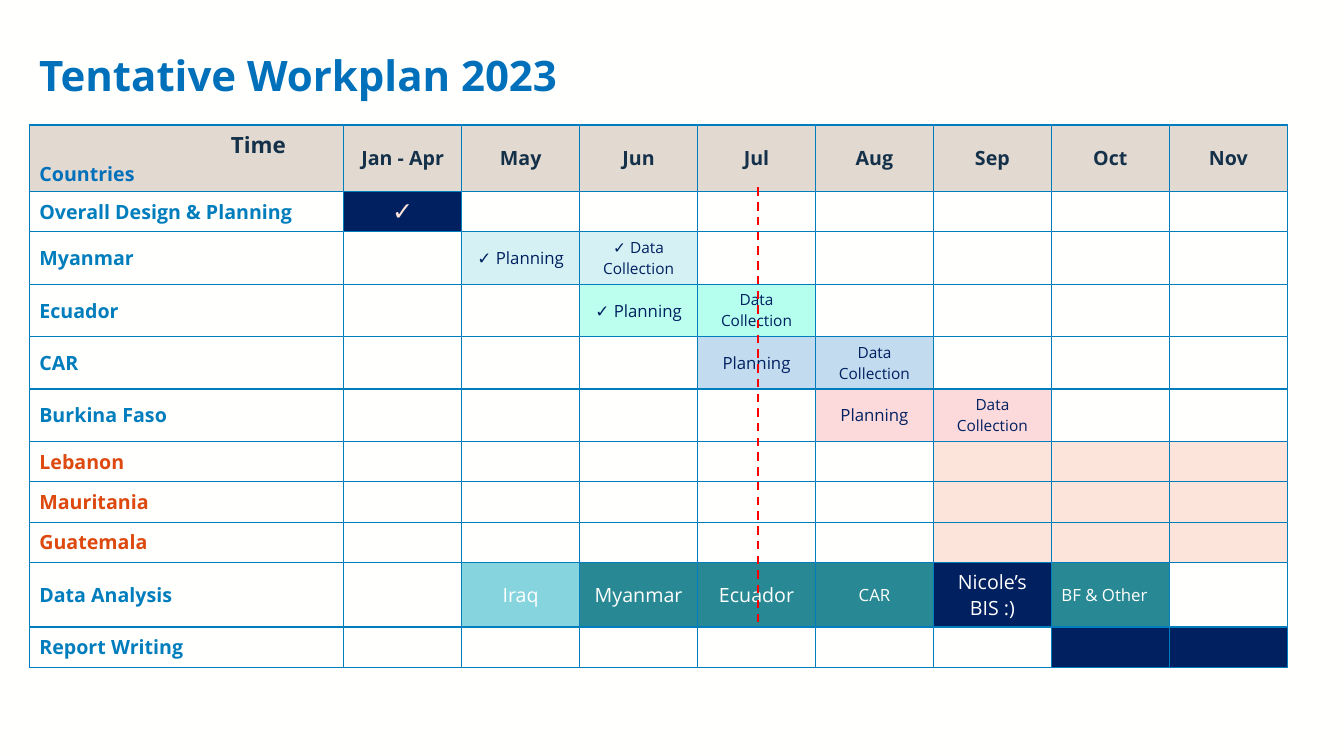
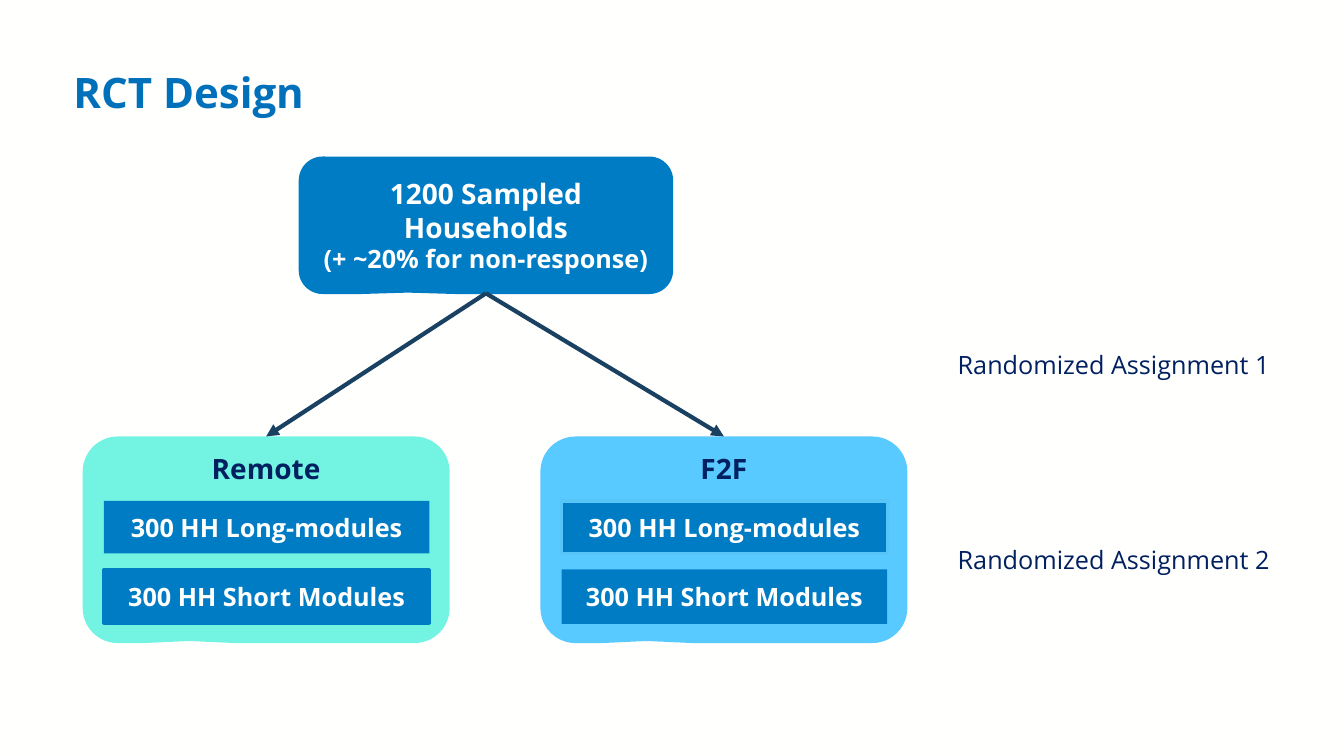
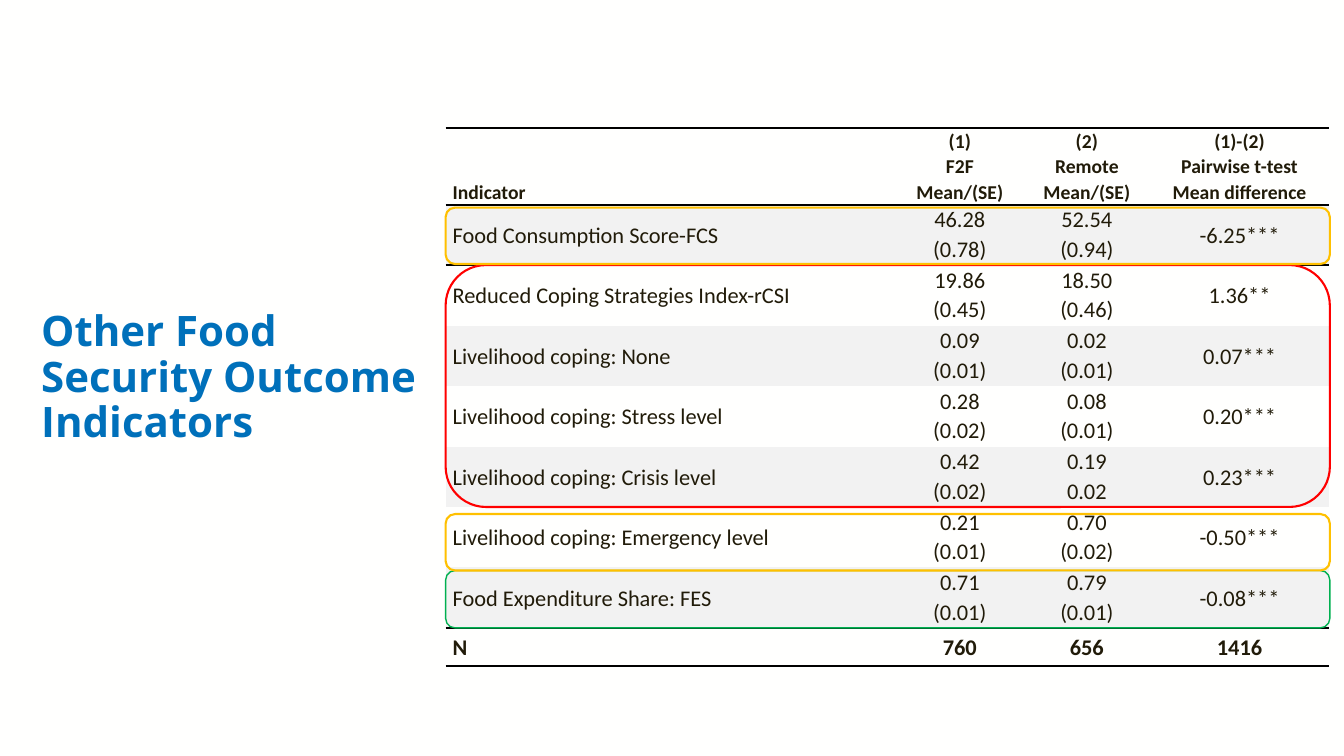
import pptx
import pptx.dml.color
import pptx.enum.dml
import pptx.enum.shapes
import pptx.enum.text
import pptx.oxml.ns
import pptx.util
from lxml import etree

Inches = pptx.util.Inches
Pt = pptx.util.Pt
RGBColor = pptx.dml.color.RGBColor
Shape = pptx.enum.shapes.MSO_SHAPE
Align = pptx.enum.text.PP_ALIGN
Anchor = pptx.enum.text.MSO_ANCHOR
qn = pptx.oxml.ns.qn

PAPER = RGBColor(0xFF, 0xFF, 0xFE)
BLACK = RGBColor(0x00, 0x00, 0x00)
TITLE_BLUE = RGBColor(0x00, 0x70, 0xBA)
GRID_BLUE = RGBColor(0x00, 0x7D, 0xBC)
BOX_BLUE = RGBColor(0x00, 0x7C, 0xC5)
SKY = RGBColor(0x59, 0xCA, 0xFF)
SKY_EDGE = RGBColor(0x57, 0xC5, 0xF7)
MINT = RGBColor(0x73, 0xF4, 0xE2)
NAVY = RGBColor(0x00, 0x20, 0x60)
ARROW_NAVY = RGBColor(0x1A, 0x41, 0x61)
HEADER_INK = RGBColor(0x14, 0x31, 0x49)
SAND = RGBColor(0xE2, 0xD9, 0xD1)
ORANGE = RGBColor(0xDD, 0x49, 0x0E)
PEACH = RGBColor(0xFD, 0xE4, 0xDA)
PALE_CYAN = RGBColor(0xD6, 0xF1, 0xF4)
PALE_MINT = RGBColor(0xBD, 0xFF, 0xEE)
AQUA_MINT = RGBColor(0xB4, 0xFF, 0xED)
PALE_BLUE = RGBColor(0xC2, 0xDB, 0xEF)
PINK = RGBColor(0xFC, 0xD9, 0xDB)
CYAN = RGBColor(0x85, 0xD4, 0xDE)
TEAL = RGBColor(0x28, 0x88, 0x94)
BROWN_INK = RGBColor(0x21, 0x1B, 0x09)
BAND_GREY = RGBColor(0xF2, 0xF2, 0xF2)
RED = RGBColor(0xFF, 0x00, 0x00)
AMBER = RGBColor(0xFF, 0xC0, 0x00)
GREEN = RGBColor(0x00, 0xB0, 0x50)

NO_STYLE_NO_GRID = "{2D5ABB26-0587-4C30-8999-92F81FD0307C}"


class Deck:
    FONT = "Open Sans"

    def __init__(self):
        self.presentation = pptx.Presentation()
        self.presentation.slide_width = Inches(13.33)
        self.presentation.slide_height = Inches(7.5)
        background = self.presentation.slide_master.background.fill
        background.solid()
        background.fore_color.rgb = PAPER
        self.slide = None

    def new_slide(self, title, *box):
        self.slide = self.presentation.slides.add_slide(self.presentation.slide_layouts[6])
        self.text(box, title, size=30, color=TITLE_BLUE, bold=True,
                  anchor=Anchor.MIDDLE, spacing=0.9)

    def set_text(self, frame, text, size=18, color=NAVY, bold=False, font=FONT,
                 align=Align.LEFT, spacing=None, sizes=()):
        """Add one paragraph per line of text; sizes overrides size line by line."""
        for index, line in enumerate(text.split("\n")):
            paragraph = frame.add_paragraph() if index else frame.paragraphs[0]
            paragraph.alignment = align
            if spacing:
                paragraph.line_spacing = spacing
            run = paragraph.add_run()
            run.text = line
            run.font.color.rgb = color
            points = sizes[index] if sizes else size
            for name, value in {"name": font, "size": Pt(points), "bold": bold}.items():
                setattr(run.font, name, value)

    def text(self, box, text, wrap=True, anchor=Anchor.TOP, **style):
        frame = self.slide.shapes.add_textbox(*map(Inches, box)).text_frame
        frame.word_wrap = wrap
        frame.vertical_anchor = anchor
        self.set_text(frame, text, **style)

    def shape(self, kind, box, fill=None, line=None, width=1, text="",
              anchor=Anchor.MIDDLE, adjustments=(), **style):
        shape = self.slide.shapes.add_shape(kind, *map(Inches, box))
        shape.shadow.inherit = False
        for index, value in enumerate(adjustments):
            shape.adjustments[index] = value
        self.paint(shape.fill, fill)
        self.paint(shape.line.fill, line)
        if line is not None:
            shape.line.width = Pt(width)
        if text:
            shape.text_frame.vertical_anchor = anchor
            self.set_text(shape.text_frame, text, bold=True, align=Align.CENTER, **style)

    def callout(self, box, fill, text, **options):
        self.shape(Shape.ROUNDED_RECTANGULAR_CALLOUT, box, fill, text=text,
                   adjustments=(-0.21, 0.49, 0.17), **options)

    def line(self, start, end, color, width, dash=None, arrow=False):
        connector = self.slide.shapes.add_connector(
            pptx.enum.shapes.MSO_CONNECTOR.STRAIGHT, *map(Inches, start + end))
        connector.line.color.rgb = color
        connector.line.width = Pt(width)
        if dash:
            connector.line.dash_style = dash
        properties = connector._element.spPr
        if arrow:
            etree.SubElement(properties.find(qn("a:ln")), qn("a:tailEnd"), type="triangle")
        etree.SubElement(properties, qn("a:effectLst"))

    def table(self, left, top, widths, heights):
        shape = self.slide.shapes.add_table(
            len(heights), len(widths), Inches(left), Inches(top),
            Inches(sum(widths)), Inches(sum(heights)))
        table = shape.table
        table.first_row = table.horz_banding = False
        table._tbl.tblPr.find(qn("a:tableStyleId")).text = NO_STYLE_NO_GRID
        for column, width in zip(table.columns, widths):
            column.width = Inches(width)
        for row, height in zip(table.rows, heights):
            row.height = Inches(height)
        return table

    def cell(self, cell, text="", fill=None, anchor=Anchor.MIDDLE, margins=None,
             edges="", edge_color=BLACK, edge_width=1.5, **style):
        """Fill a cell; edges is a subset of "LRTB", in that order."""
        for edge in edges:
            line = etree.SubElement(cell._tc.get_or_add_tcPr(), qn("a:ln" + edge),
                                    w=str(Pt(edge_width)))
            solid = etree.SubElement(line, qn("a:solidFill"))
            etree.SubElement(solid, qn("a:srgbClr"), val=str(edge_color))
        self.paint(cell.fill, fill)
        cell.vertical_anchor = anchor
        if margins:
            sides = ("margin_left", "margin_top", "margin_right", "margin_bottom")
            for side, value in zip(sides, margins):
                setattr(cell, side, Inches(value))
        if text:
            self.set_text(cell.text_frame, text, **style)

    @staticmethod
    def paint(fill, color):
        if color is None:
            fill.background()
        else:
            fill.solid()
            fill.fore_color.rgb = color


def build_workplan(deck):
    deck.new_slide("Tentative Workplan 2023", 0.29, 0.41, 12.49, 0.72)
    months = ["Jan - Apr", "May", "Jun", "Jul", "Aug", "Sep", "Oct", "Nov"]
    labels = ["Overall Design & Planning", "Myanmar", "Ecuador", "CAR", "Burkina Faso",
              "Lebanon", "Mauritania", "Guatemala", "Data Analysis", "Report Writing"]
    orange_countries = ("Lebanon", "Mauritania", "Guatemala")
    planning = {"size": 12, "color": NAVY}
    collection = {"text": "Data Collection", "size": 11, "color": NAVY}
    analysis = {"size": 14, "color": PAPER, "fill": TEAL}
    activities = {
        ("Overall Design & Planning", "Jan - Apr"):
            {"text": "✓", "color": PEACH, "font": "Calibri", "fill": NAVY},
        ("Myanmar", "May"): {**planning, "text": "✓ Planning", "fill": PALE_CYAN},
        ("Myanmar", "Jun"): {**collection, "text": "✓ Data Collection", "fill": PALE_CYAN},
        ("Ecuador", "Jun"): {**planning, "text": "✓ Planning", "fill": PALE_MINT},
        ("Ecuador", "Jul"): {**collection, "fill": AQUA_MINT},
        ("CAR", "Jul"): {**planning, "text": "Planning", "fill": PALE_BLUE},
        ("CAR", "Aug"): {**collection, "fill": PALE_BLUE},
        ("Burkina Faso", "Aug"): {**planning, "text": "Planning", "fill": PINK},
        ("Burkina Faso", "Sep"): {**collection, "fill": PINK},
        ("Data Analysis", "May"): {**analysis, "text": "Iraq", "fill": CYAN},
        ("Data Analysis", "Jun"): {**analysis, "text": "Myanmar"},
        ("Data Analysis", "Jul"): {**analysis, "text": "Ecuador"},
        ("Data Analysis", "Aug"): {**analysis, "text": "CAR", "size": 12},
        ("Data Analysis", "Sep"): {**analysis, "text": "Nicole’s BIS :)", "fill": NAVY},
        ("Data Analysis", "Oct"):
            {**analysis, "text": "BF & Other", "size": 12, "align": Align.LEFT},
        ("Report Writing", "Oct"): {"fill": NAVY},
        ("Report Writing", "Nov"): {"fill": NAVY},
    }
    for country in orange_countries:
        for month in ("Sep", "Oct", "Nov"):
            activities[country, month] = {"fill": PEACH}

    heights = [0.66, 0.4] + [0.52] * 4 + [0.4] * 3 + [0.64, 0.4]
    table = deck.table(0.29, 1.24, [3.12] + [1.17] * len(months), heights)
    grid = {"edges": "LRTB", "edge_color": GRID_BLUE, "edge_width": 1}
    heading = {"size": 14, "bold": True}

    corner = table.cell(0, 0)
    deck.cell(corner, "Time\nCountries", SAND, Anchor.TOP, color=HEADER_INK,
              bold=True, sizes=(16, 14), **grid)
    time, countries = corner.text_frame.paragraphs
    time._p.get_or_add_pPr().set("marL", str(Inches(1.9)))
    countries.runs[0].font.color.rgb = TITLE_BLUE

    for column, month in enumerate(months, 1):
        deck.cell(table.cell(0, column), month, SAND, color=HEADER_INK,
                  align=Align.CENTER, **heading, **grid)
    for row, label in enumerate(labels, 1):
        deck.cell(table.cell(row, 0), label, **heading, **grid,
                  color=ORANGE if label in orange_countries else GRID_BLUE)
        for column, month in enumerate(months, 1):
            activity = {"align": Align.CENTER, **activities.get((label, month), {})}
            deck.cell(table.cell(row, column), **activity, **grid)
    deck.line((7.52, 1.86), (7.52, 6.17), RED, 1.5, pptx.enum.dml.MSO_LINE.DASH)


def build_design(deck):
    deck.new_slide("RCT Design", 0.63, 0.49, 11.53, 0.9)
    arms = [("Remote", 0.82, MINT, None, BOX_BLUE), ("F2F", 5.36, SKY, SKY_EDGE, None)]
    for name, left, fill, long_edge, short_edge in arms:
        deck.callout((left, 4.33, 3.64, 2.05), fill, name, anchor=Anchor.TOP, size=20)
        modules = [("300 HH Long-modules", 4.97, 0.52, long_edge),
                   ("300 HH Short Modules", 5.65, 0.54, short_edge)]
        for text, top, height, edge in modules:
            deck.shape(Shape.RECTANGLE, (left + 0.21, top, 3.23, height), BOX_BLUE, edge,
                       2.25, text, color=PAPER)
    deck.callout((2.97, 1.56, 3.7, 1.35), BOX_BLUE,
                 "1200 Sampled Households\n(+ ~20% for non-response)",
                 line=BOX_BLUE, color=PAPER, sizes=(20, 18))
    for _, left, *_ in arms:
        deck.line((4.82, 2.91), (left + 1.82, 4.33), ARROW_NAVY, 3, arrow=True)
    for number, top in enumerate((3.42, 5.35), 1):
        deck.text((9.4, top, 3.32, 0.4), f"Randomized Assignment {number}", wrap=False)


def build_indicators(deck):
    deck.new_slide("Other Food Security Outcome Indicators", 0.31, 2.47, 4.11, 2.57)
    rows = [
        ("Indicator", "(1)\nF2F\nMean/(SE)", "(2)\nRemote\nMean/(SE)",
         "(1)-(2)\nPairwise t-test\nMean difference"),
        ("Food Consumption Score-FCS", "46.28\n(0.78)", "52.54\n(0.94)", "-6.25***"),
        ("Reduced Coping Strategies Index-rCSI", "19.86\n(0.45)", "18.50\n(0.46)", "1.36**"),
        ("Livelihood coping: None", "0.09\n(0.01)", "0.02\n(0.01)", "0.07***"),
        ("Livelihood coping: Stress level", "0.28\n(0.02)", "0.08\n(0.01)", "0.20***"),
        ("Livelihood coping: Crisis level", "0.42\n(0.02)", "0.19\n0.02", "0.23***"),
        ("Livelihood coping: Emergency level", "0.21\n(0.01)", "0.70\n(0.02)", "-0.50***"),
        ("Food Expenditure Share: FES", "0.71\n(0.01)", "0.79\n(0.01)", "-0.08***"),
        ("N", "760", "656", "1416"),
    ]
    last = len(rows) - 1
    edges = {0: "TB", 1: "T", last - 1: "B", last: "TB"}
    table = deck.table(4.42, 1.27, [4.47, 1.26, 1.26, 1.77], [0.76] + [0.6] * 7 + [0.38])
    for row, texts in enumerate(rows):
        for column, text in enumerate(texts):
            if row == 0 and column == 0:
                anchor = Anchor.BOTTOM
            else:
                anchor = Anchor.TOP if "\n" in text else Anchor.MIDDLE
            deck.cell(table.cell(row, column), text, BAND_GREY if row % 2 else None, anchor,
                      margins=(0.07, 0, 0.07, 0), edges=edges.get(row, ""),
                      size=16 if row else 14, bold=row in (0, last), font="Calibri",
                      color=BROWN_INK, align=Align.CENTER if column else Align.LEFT,
                      spacing=1.07)
    highlights = [(2.63, 2.4, RED, 1.5), (2.06, 0.56, AMBER, 1.5),
                  (5.66, 0.57, GREEN, 1), (5.1, 0.56, AMBER, 1.5)]
    for top, height, color, width in highlights:
        deck.shape(Shape.ROUNDED_RECTANGLE, (4.42, top, 8.77, height), line=color, width=width)


def main():
    deck = Deck()
    for build in (build_workplan, build_design, build_indicators):
        build(deck)
    deck.presentation.save("out.pptx")


if __name__ == "__main__":
    main()
